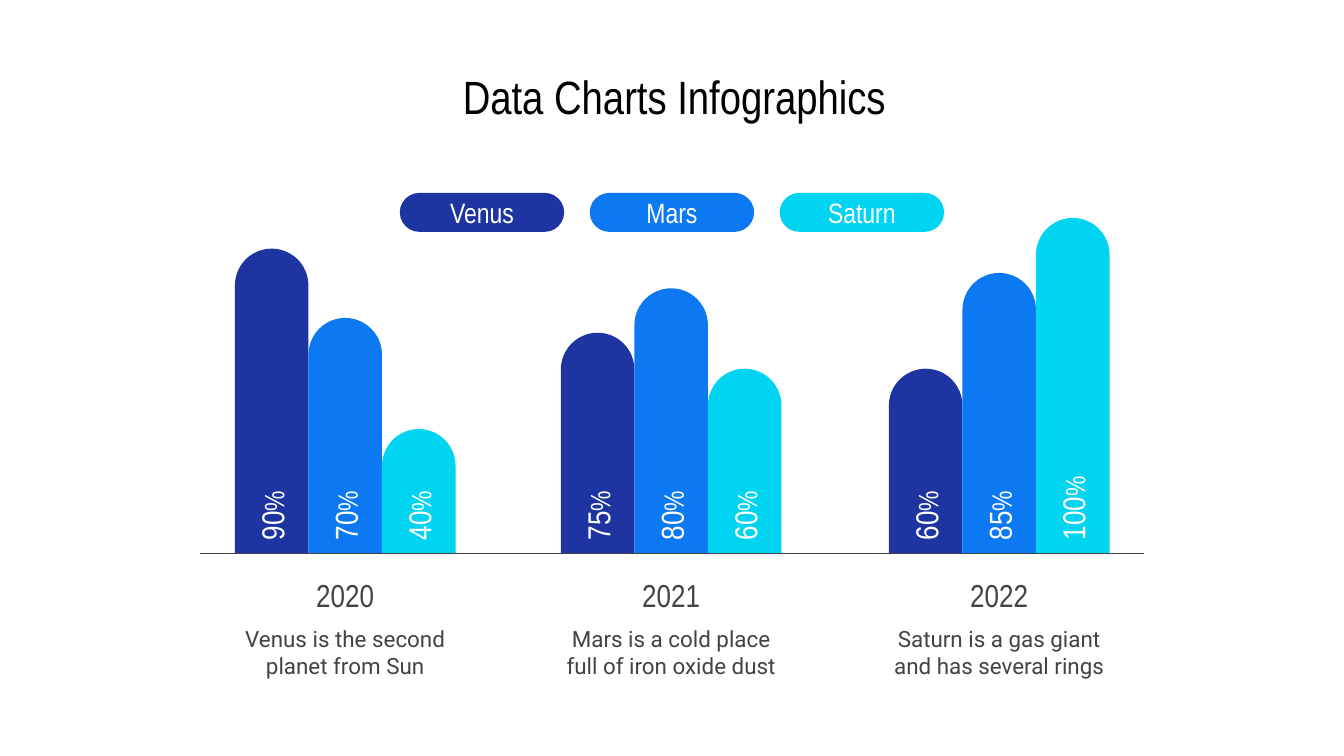
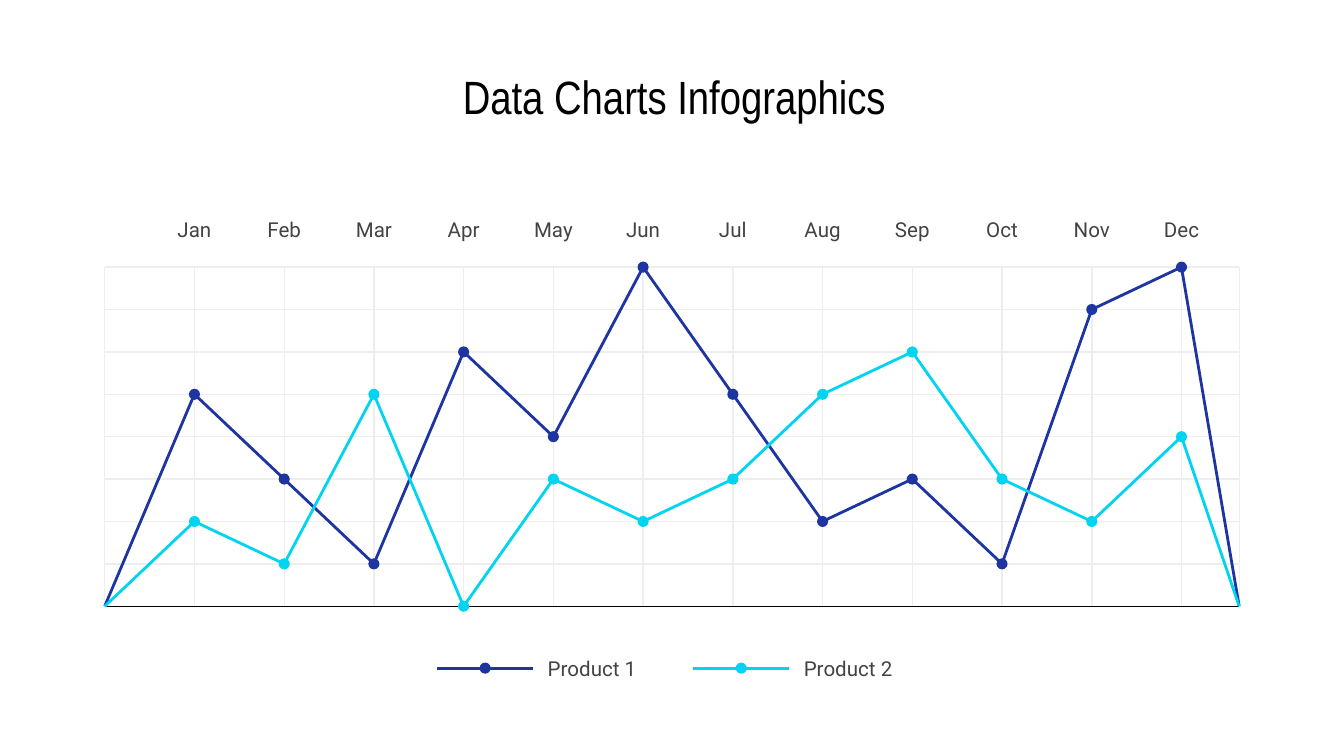
import dataclasses

import lxml.etree
import pptx
import pptx.dml.color
import pptx.enum.shapes
import pptx.enum.text
import pptx.oxml.ns
import pptx.util

Cm = pptx.util.Cm
Pt = pptx.util.Pt
SHAPE = pptx.enum.shapes.MSO_SHAPE
ALIGN = pptx.enum.text.PP_ALIGN

TITLE = "Data Charts Infographics"

PLANETS = ["Venus", "Mars", "Saturn"]
YEARS = [
    ("2020", "Venus is the second planet from Sun", 4.44, (90, 70, 40)),
    ("2021", "Mars is a cold place full of iron oxide dust", 10.6, (75, 80, 60)),
    ("2022", "Saturn is a gas giant and has several rings", 16.8, (60, 85, 100)),
]
BAR_HEIGHTS = {40: 2.35, 60: 3.49, 70: 4.45, 75: 4.17, 80: 5.01, 85: 5.3, 90: 5.76, 100: 6.34}

MONTHS = ["Jan", "Feb", "Mar", "Apr", "May", "Jun", "Jul", "Aug", "Sep", "Oct", "Nov", "Dec"]
ROWS = 8


@dataclasses.dataclass(frozen=True)
class Theme:
    navy: str = "1E35A1"
    blue: str = "0C79F3"
    cyan: str = "00D4F0"
    ink: str = "434343"
    grid: str = "EEEEEE"
    black: str = "000000"
    white: str = "FFFFFF"
    head_font: str = "Arial Narrow"
    body_font: str = "Roboto"
    title: float = 25
    number: float = 17
    label: float = 15
    caption: float = 12
    small: float = 11
    thin: float = 0.75
    thick: float = 1.5
    inset: float = 0.25
    dot: float = 0.21


T = Theme()
PLANET_COLORS = [T.navy, T.blue, T.cyan]
PRODUCTS = [
    ("Product 1", T.navy, 8.26, [5, 3, 1, 6, 4, 8, 5, 2, 3, 1, 7, 8]),
    ("Product 2", T.cyan, 13.1, [2, 1, 5, 0, 3, 2, 3, 5, 6, 3, 2, 4]),
]


def rgb(color):
    return pptx.dml.color.RGBColor.from_string(color)


def style_run(r, size, font, color):
    r.font.size = Pt(size)
    r.font.name = font
    r.font.color.rgb = rgb(color)


def write(sp, text, size, font, color, align=ALIGN.CENTER):
    tf = sp.text_frame
    tf.word_wrap = True
    tf.vertical_anchor = pptx.enum.text.MSO_ANCHOR.MIDDLE
    tf.margin_left = tf.margin_right = tf.margin_top = tf.margin_bottom = Cm(T.inset)
    tf.text = text
    p = tf.paragraphs[0]
    p.alignment = align
    style_run(p.runs[0], size, font, color)
    return p


def add_text(s, x, y, w, h, text, size, font, color, align=ALIGN.CENTER):
    sp = s.shapes.add_textbox(Cm(x), Cm(y), Cm(w), Cm(h))
    return sp, write(sp, text, size, font, color, align)


def add_solid(s, kind, x, y, w, h, color):
    sp = s.shapes.add_shape(kind, Cm(x), Cm(y), Cm(w), Cm(h))
    sp.shadow.inherit = False
    sp.fill.solid()
    sp.fill.fore_color.rgb = rgb(color)
    sp.line.fill.background()
    return sp


def add_dot(s, x, y, color):
    add_solid(s, SHAPE.OVAL, x - T.dot / 2, y - T.dot / 2, T.dot, T.dot, color)


def add_line(s, x1, y1, x2, y2, color, width=T.thin):
    straight = pptx.enum.shapes.MSO_CONNECTOR.STRAIGHT
    cn = s.shapes.add_connector(straight, Cm(x1), Cm(y1), Cm(x2), Cm(y2))
    cn.line.color.rgb = rgb(color)
    cn.line.width = Pt(width)
    sp_pr = cn._element.find(pptx.oxml.ns.qn("p:spPr"))
    lxml.etree.SubElement(sp_pr, pptx.oxml.ns.qn("a:effectLst"))


def add_slide(prs):
    s = prs.slides.add_slide(prs.slide_layouts[6])
    add_text(s, 1.35, 1.14, 22.78, 1.35, TITLE, T.title, T.head_font, T.black)
    return s


def add_bar(s, x, base, width, percent, color):
    height = BAR_HEIGHTS[percent]
    sp = add_solid(s, SHAPE.ROUND_2_SAME_RECTANGLE, x, base - height, width, height, color)
    sp.adjustments[0] = 0.5
    sp.adjustments[1] = 0
    w, h = 2.92, 0.69
    sp, p = add_text(s, x + (width - w) / 2, base - 1.46 - h / 2, w, h,
                     str(percent), T.number, T.head_font, T.white, ALIGN.LEFT)
    sp.rotation = 270
    r = p.add_run()
    r.text = "%"
    style_run(r, T.label, T.head_font, T.white)


def build_bars(prs):
    s = add_slide(prs)
    base, width = 10.46, 1.39
    for i, (planet, color) in enumerate(zip(PLANETS, PLANET_COLORS)):
        sp = add_solid(s, SHAPE.ROUNDED_RECTANGLE, 7.57 + 3.59 * i, 3.66, 3.08, 0.71, color)
        sp.adjustments[0] = 0.5
        sp.line.color.rgb = rgb(color)
        sp.line.width = Pt(T.thin)
        write(sp, planet, T.label, T.head_font, T.white)
    for year, caption, left, percents in YEARS:
        for i, (percent, color) in enumerate(zip(percents, PLANET_COLORS)):
            add_bar(s, left + width * i, base, width, percent, color)
        mid = left + width * 1.5
        add_text(s, mid - 2.1, 10.85, 4.2, 0.79, year, T.number, T.head_font, T.ink)
        add_text(s, mid - 2.26, 11.79, 4.52, 1.07, caption, T.caption, T.body_font, T.ink)
    add_line(s, 3.78, base, 21.62, base, T.ink)


def add_series(s, points, color):
    pts = [(Cm(x), Cm(y)) for x, y in points]
    fb = s.shapes.build_freeform(*pts[0])
    fb.add_line_segments(pts[1:], close=False)
    sp = fb.convert_to_shape()
    sp.shadow.inherit = False
    sp.fill.background()
    sp.line.color.rgb = rgb(color)
    sp.line.width = Pt(T.thick)
    for x, y in points[1:-1]:
        add_dot(s, x, y, color)


def build_lines(prs):
    s = add_slide(prs)
    left, right, last, top, bottom = 1.98, 23.42, 22.33, 5.05, 11.46
    month_xs = [left + (last - left) * i / len(MONTHS) for i in range(1, len(MONTHS) + 1)]
    row = (bottom - top) / ROWS
    xs = [left, *month_xs, right]

    for x in xs:
        add_line(s, x, top, x, bottom, T.grid)
    for i in range(ROWS):
        add_line(s, left, top + row * i, right, top + row * i, T.grid)
    add_line(s, left, bottom, right, bottom, T.black)

    for name, color, key_x, values in PRODUCTS:
        add_series(s, [(x, bottom - row * v) for x, v in zip(xs, [0, *values, 0])], color)
        key_y, key_w = 12.63, 1.82
        add_line(s, key_x, key_y, key_x + key_w, key_y, color, T.thick)
        add_dot(s, key_x + key_w / 2, key_y, color)
        add_text(s, key_x + key_w, key_y - 0.28, 2.22, 0.56, name, T.small, T.body_font, T.ink)

    for x, month in zip(month_xs, MONTHS):
        add_text(s, x - 0.76, 4.06, 1.52, 0.56, month, T.small, T.body_font, T.ink)


def main():
    prs = pptx.Presentation()
    prs.slide_width = Cm(25.4)
    prs.slide_height = Cm(14.29)
    build_bars(prs)
    build_lines(prs)
    prs.save("out.pptx")


if __name__ == "__main__":
    main()
